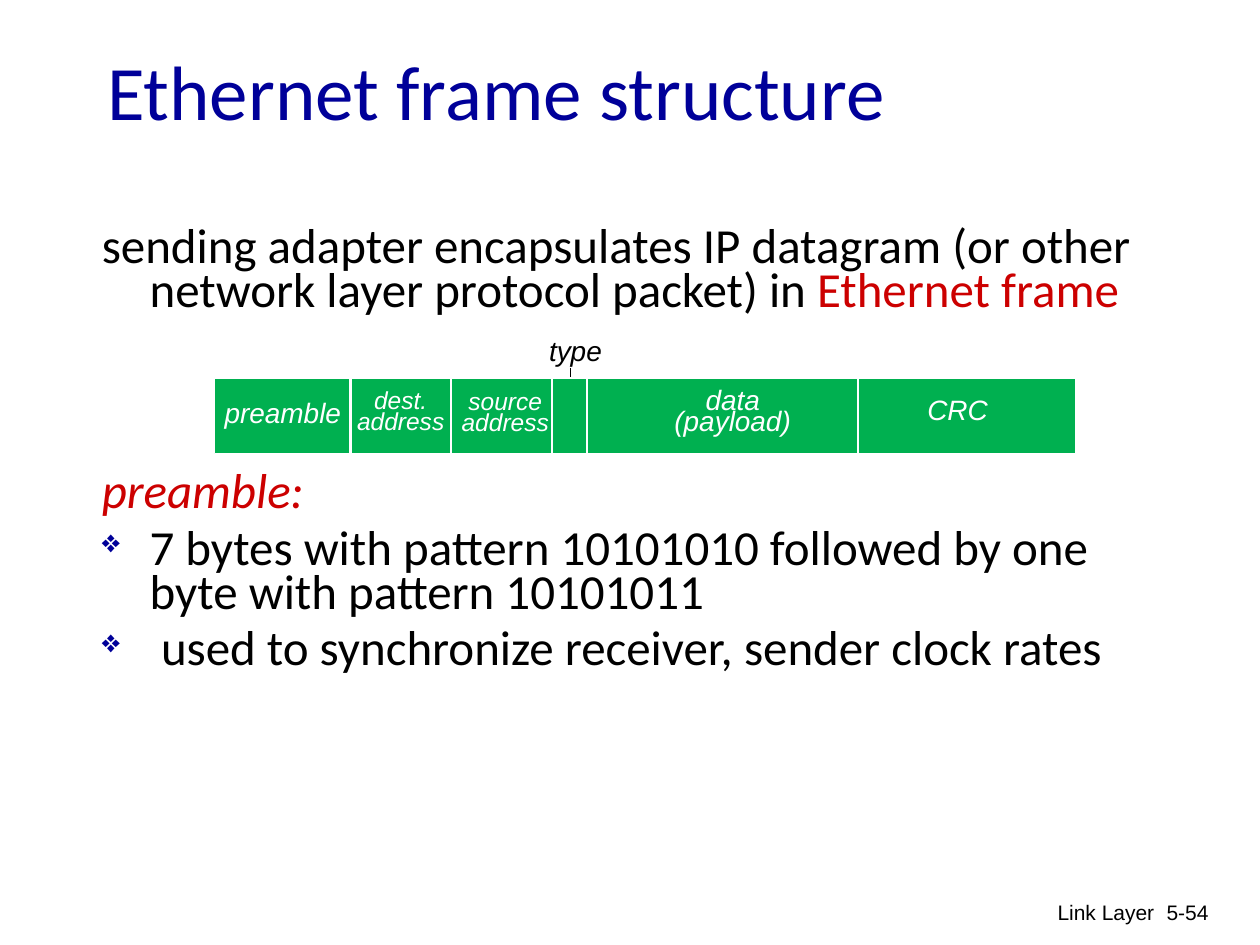
from lxml.etree import SubElement
from pptx import Presentation
from pptx.dml.color import RGBColor
from pptx.enum.shapes import MSO_CONNECTOR, MSO_SHAPE
from pptx.enum.text import MSO_ANCHOR, PP_ALIGN
from pptx.oxml.ns import qn
from pptx.util import Inches, Pt

BLACK, WHITE, NAVY, RED, GREEN = "000000", "FFFFFF", "000099", "CC0000", "00B050"
TITLE = "Ethernet frame structure"
INTRO = [
    ("sending adapter encapsulates IP datagram (or other network layer protocol packet) in ", BLACK),
    ("Ethernet frame", RED),
]
PREAMBLE_HEADING = "preamble:"
PREAMBLE_POINTS = [
    ("7 bytes with pattern 10101010 followed by one byte with pattern 10101011", 0.38),
    ("used to synchronize receiver, sender clock rates", 0.47),
]
FIELD_LABELS = [
    (["preamble"], 16, (1.66, 3.19, 1.17, 0.27)),
    (["dest.", "address"], 14, (2.72, 3.07, 0.92, 0.44)),
    (["source", "address"], 14, (3.55, 3.08, 0.92, 0.44)),
    (["data", "(payload)"], 16, (5.06, 3.09, 1.51, 0.44)),
    (["CRC"], 16, (7.13, 3.17, 0.94, 0.27)),
]
FRAME = (1.7, 3, 6.84, 0.6)
DIVIDERS = [2.78, 3.58, 4.38, 4.66, 6.81]
TYPE_POINTER = 4.53
FOOTERS = [("Link Layer", (6.09, 7.09, 3.17, 0.5)), ("5-54", (8.95, 7.09, 0.74, 0.5))]


def color(value):
    return RGBColor.from_string(value)


def style(font, name, size, shade, italic=False):
    font.name, font.size, font.italic = name, Pt(size), italic
    font.color.rgb = color(shade)


def add_box(page, area):
    box = page.shapes.add_textbox(*map(Inches, area))
    box.text_frame.word_wrap = True
    return box.text_frame


def add_label(page, lines, size, area, shade, align, italic=True, spacing=None):
    frame = add_box(page, area)
    for index, line in enumerate(lines):
        para = frame.add_paragraph() if index else frame.paragraphs[0]
        para.text, para.alignment = line, align
        if spacing:
            para.line_spacing = Pt(spacing)
        style(para.font, "Arial", size, shade, italic)


def set_body(para, hang, bullet=False, before=0):
    para.line_spacing, para.space_before = 0.75, Pt(before)
    properties = para._p.get_or_add_pPr()
    properties.set("marL", str(Inches(hang)))
    properties.set("indent", str(-Inches(hang)))
    if bullet:
        shade = SubElement(properties, qn("a:buClr"))
        SubElement(shade, qn("a:srgbClr"), val=NAVY)
        SubElement(properties, qn("a:buSzPct"), val="65000")
        SubElement(properties, qn("a:buChar"), char="❖")


def add_vertical(page, x, top, bottom, shade, width):
    line = page.shapes.add_connector(
        MSO_CONNECTOR.STRAIGHT, Inches(x), Inches(top), Inches(x), Inches(bottom))
    line.line.color.rgb = color(shade)
    line.line.width = Pt(width)
    SubElement(line._element.spPr, qn("a:effectLst"))


def add_title(page):
    title = page.shapes.title
    title.left, title.top, title.width, title.height = map(Inches, (0.75, 0.38, 8.5, 0.67))
    title.text_frame.text = TITLE
    title.text_frame.vertical_anchor = MSO_ANCHOR.MIDDLE
    para = title.text_frame.paragraphs[0]
    para.alignment = PP_ALIGN.LEFT
    style(para.font, "Calibri", 44, NAVY)


def add_body(page):
    para = add_box(page, (0.71, 1.76, 8.5, 0.85)).paragraphs[0]
    set_body(para, 0.38)
    for text, shade in INTRO:
        span = para.add_run()
        span.text = text
        style(span.font, "Calibri", 28, shade)

    frame = add_box(page, (0.71, 3.71, 8.5, 2.8))
    heading = frame.paragraphs[0]
    heading.text = PREAMBLE_HEADING
    set_body(heading, 0.38)
    style(heading.font, "Calibri", 28, RED, True)
    for text, hang in PREAMBLE_POINTS:
        para = frame.add_paragraph()
        para.text = text
        set_body(para, hang, bullet=True, before=7)
        style(para.font, "Calibri", 28, BLACK)


def add_frame_diagram(page):
    top, bottom = FRAME[1], FRAME[1] + FRAME[3]
    add_vertical(page, TYPE_POINTER, top - 0.08, top + 0.14, BLACK, 0.75)
    bar = page.shapes.add_shape(MSO_SHAPE.RECTANGLE, *map(Inches, FRAME))
    bar.shadow.inherit = False
    bar.fill.solid()
    bar.fill.fore_color.rgb = color(GREEN)
    bar.line.color.rgb = color(WHITE)
    bar.line.width = Pt(0.75)
    for x in DIVIDERS:
        add_vertical(page, x, top, bottom, WHITE, 1.5)
    for lines, size, area in FIELD_LABELS:
        add_label(page, lines, size, area, WHITE, PP_ALIGN.CENTER, spacing=12)
    add_label(page, ["type"], 16, (4.26, 2.6, 0.84, 0.37), BLACK, PP_ALIGN.LEFT)


def main():
    deck = Presentation()
    deck.slide_width, deck.slide_height = Inches(10), Inches(7.5)
    page = deck.slides.add_slide(deck.slide_layouts[5])
    add_title(page)
    add_body(page)
    add_frame_diagram(page)
    for text, area in FOOTERS:
        add_label(page, [text], 12, area, BLACK, PP_ALIGN.RIGHT, italic=False)
    deck.save("out.pptx")


if __name__ == "__main__":
    main()
